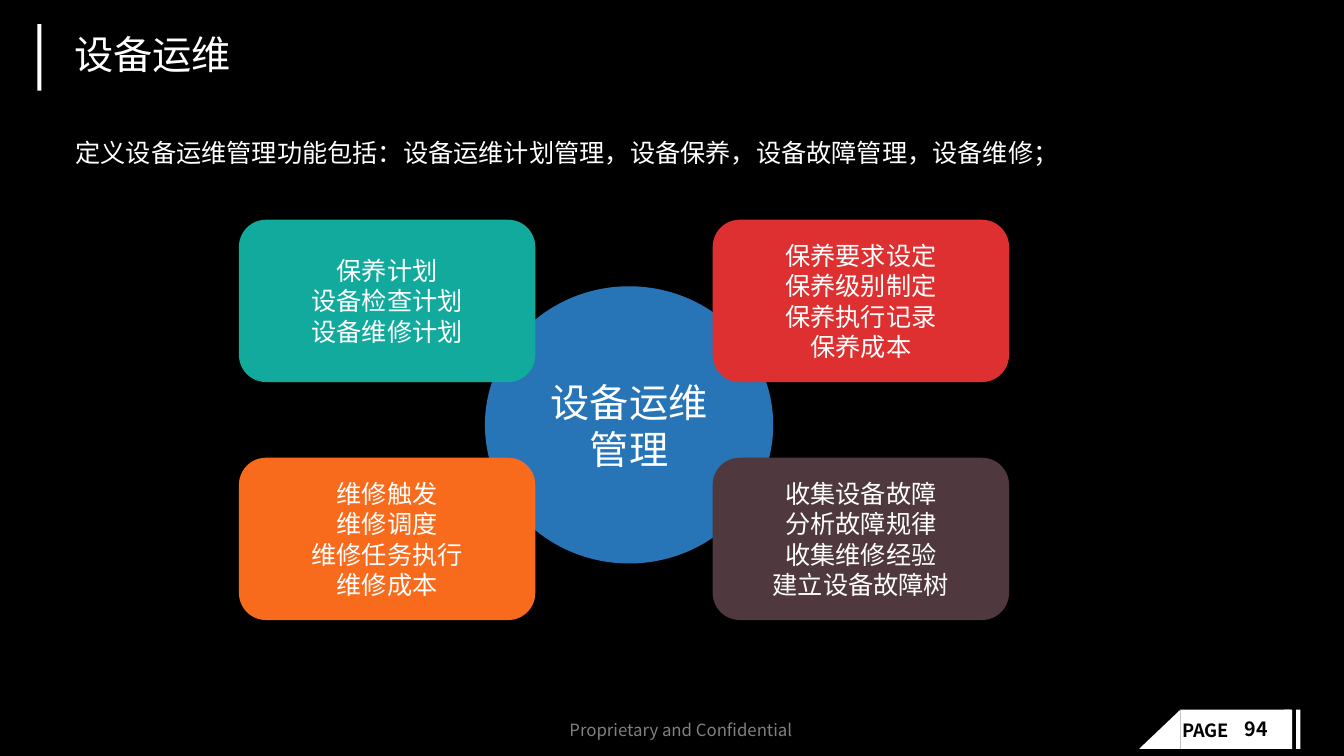
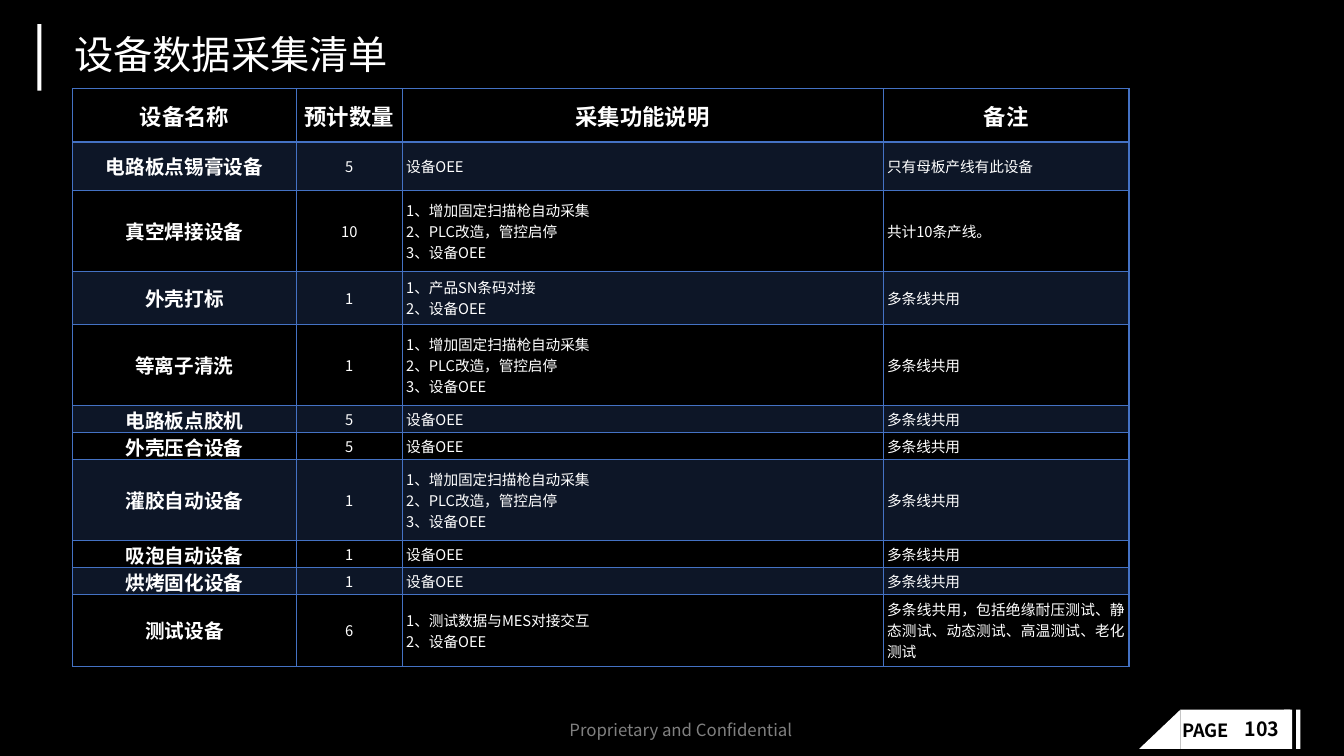
"""Build two slides on equipment operation, maintenance and data collection."""
from lxml.etree import SubElement as add_element
from pptx import Presentation
from pptx.dml.color import RGBColor
from pptx.enum.shapes import MSO_SHAPE as Shape
from pptx.enum.text import MSO_ANCHOR as Anchor, PP_ALIGN as Align
from pptx.oxml.ns import qn
from pptx.util import Inches, Pt

WIDTH, HEIGHT = Inches(13.33), Inches(7.5)
FONT = "Noto Sans CJK SC"
BLACK = RGBColor(0x00, 0x00, 0x00)
WHITE = RGBColor(0xFF, 0xFF, 0xFF)
GRAY = RGBColor(0x80, 0x80, 0x80)
BLUE = RGBColor(0x27, 0x75, 0xB6)
TEAL = RGBColor(0x12, 0xAA, 0x9C)
RED = RGBColor(0xDE, 0x30, 0x31)
ORANGE = RGBColor(0xF8, 0x6B, 0x1D)
BROWN = RGBColor(0x4F, 0x38, 0x3E)
GRID_BLUE = RGBColor(0x44, 0x72, 0xC4)

FOOTER_TOP, FOOTER_HEIGHT = 93.87, 5.2
FOOTER_TEXT_TOP, FOOTER_TEXT_HEIGHT = 94.53, 4.27
BADGE_BARS = [(87.83, 8.18), (95.55, 0.6), (96.45, 0.3)]

CARD_COLUMNS, CARD_ROWS = (17.78, 53.03), (29.07, 60.55)
CARD_WIDTH, CARD_HEIGHT = 22.05, 21.47
CARDS = [
    (0, 0, TEAL, ["保养计划", "设备检查计划", "设备维修计划"]),
    (0, 1, ORANGE, ["维修触发", "维修调度", "维修任务执行", "维修成本"]),
    (1, 1, BROWN, ["收集设备故障", "分析故障规律", "收集维修经验", "建立设备故障树"]),
    (1, 0, RED, ["保养要求设定", "保养级别制定", "保养执行记录", "保养成本"]),
]

OEE = ["设备OEE"]
SCAN_STEPS = ["1、增加固定扫描枪自动采集", "2、PLC改造，管控启停", "3、设备OEE"]
SHARED = "多条线共用"
COLUMN_WIDTHS = [16.65, 7.88, 35.78, 18.3]
HEADER_HEIGHT = 7.07
HEADER = ["设备名称", "预计数量", "采集功能说明", "备注"]
DEVICES = [
    (6.4, "电路板点锡膏设备", 5, OEE, "只有母板产线有此设备"),
    (10.67, "真空焊接设备", 10, SCAN_STEPS, "共计10条产线。"),
    (7.07, "外壳打标", 1, ["1、产品SN条码对接", "2、设备OEE"], SHARED),
    (10.67, "等离子清洗", 1, SCAN_STEPS, SHARED),
    (3.6, "电路板点胶机", 5, OEE, SHARED),
    (3.6, "外壳压合设备", 5, OEE, SHARED),
    (10.67, "灌胶自动设备", 1, SCAN_STEPS, SHARED),
    (3.6, "吸泡自动设备", 1, OEE, SHARED),
    (3.6, "烘烤固化设备", 1, OEE, SHARED),
    (9.47, "测试设备", 6, ["1、测试数据与MES对接交互", "2、设备OEE"],
     "多条线共用，包括绝缘耐压测试、静态测试、动态测试、高温测试、老化测试"),
]


def across(share):
    """Turn a percentage of the slide width into a length."""
    return round(WIDTH * share / 100)


def down(share):
    """Turn a percentage of the slide height into a length."""
    return round(HEIGHT * share / 100)


def place(left, top, width, height):
    """Turn four percentages into a position and size."""
    return across(left), down(top), across(width), down(height)


def apply(target, values):
    """Set each named attribute on the target."""
    for name, value in values.items():
        setattr(target, name, value)


def write(frame, lines, size, color=WHITE, bold=False, **para_format):
    """Fill a text frame with one paragraph per line."""
    for index, line in enumerate(lines):
        para = frame.add_paragraph() if index else frame.paragraphs[0]
        apply(para, para_format)
        span = para.add_run()
        span.text = line
        apply(span.font, {"name": FONT, "size": Pt(size), "bold": bold})
        span.font.color.rgb = color
        add_element(span.font._element, qn("a:ea"), typeface=FONT)


def add_text(page, area, text, size, wrap=True, anchor=Anchor.TOP, **style):
    """Add a one-line text box."""
    frame = page.shapes.add_textbox(*place(*area)).text_frame
    apply(frame, {"word_wrap": wrap, "vertical_anchor": anchor})
    write(frame, [text], size, **style)
    return frame


def add_block(page, kind, area, fill, lines=(), size=18):
    """Add a filled shape without outline, with optional centred text."""
    block = page.shapes.add_shape(kind, *place(*area))
    block.shadow.inherit = False
    block.fill.solid()
    block.fill.fore_color.rgb = fill
    block.line.fill.background()
    apply(block.text_frame, {"word_wrap": True, "vertical_anchor": Anchor.MIDDLE})
    write(block.text_frame, lines, size, alignment=Align.CENTER)
    return block


def add_footer(page, number):
    """Add the page badge and the confidentiality line."""
    for left, width in BADGE_BARS:
        add_block(page, Shape.RECTANGLE, (left, FOOTER_TOP, width, FOOTER_HEIGHT), WHITE)
    slant = add_block(page, Shape.RIGHT_TRIANGLE,
                      (84.75, FOOTER_TOP, 3.08, FOOTER_HEIGHT), WHITE)
    slant._element.spPr.xfrm.set("flipH", "1")
    labels = [
        (87.23, 5.48, "PAGE", 13, {"color": BLACK, "bold": True}),
        (91.88, 4.35, str(number), 14,
         {"color": BLACK, "bold": True, "line_spacing": 0.9}),
        (41.63, 19.2, "Proprietary and Confidential", 12, {"color": GRAY}),
    ]
    for left, width, text, size, style in labels:
        area = (left, FOOTER_TEXT_TOP, width, FOOTER_TEXT_HEIGHT)
        add_text(page, area, text, size, wrap=False, **style)


def add_page(deck, title, number):
    """Add a black slide with its title, accent bar and footer."""
    page = deck.slides.add_slide(deck.slide_layouts[6])
    page.background.fill.solid()
    page.background.fill.fore_color.rgb = BLACK
    add_footer(page, number)
    add_block(page, Shape.RECTANGLE, (2.78, 3.2, 0.3, 8.8), WHITE)
    frame = add_text(page, (4.8, 2.67, 92.4, 9.33), title, 28,
                     anchor=Anchor.MIDDLE, line_spacing=0.9)
    frame.margin_bottom = down(0.3)
    return page


def add_borders(cell, bottom):
    """Draw the four borders of a cell, with the given bottom width."""
    widths = {"lnL": 1, "lnR": 1, "lnT": 1, "lnB": bottom}
    for side, width in widths.items():
        line = add_element(cell._tc.get_or_add_tcPr(), qn(f"a:{side}"), w=str(Pt(width)))
        fill = add_element(line, qn("a:solidFill"))
        add_element(fill, qn("a:srgbClr"), val=str(GRID_BLUE))


def fill_cell(cell, lines, size, bold, alignment, banded, bottom=1):
    """Write and style one table cell."""
    apply(cell, {"margin_left": across(0.3), "margin_right": across(0.3),
                 "margin_top": 0, "margin_bottom": 0,
                 "vertical_anchor": Anchor.MIDDLE})
    write(cell.text_frame, lines, size, bold=bold, alignment=alignment)
    add_borders(cell, bottom)
    if banded:
        cell.fill.solid()
        cell.fill.fore_color.rgb = GRID_BLUE
        tint = cell._tc.tcPr.find(qn("a:solidFill")).find(qn("a:srgbClr"))
        add_element(tint, qn("a:alpha"), val="20000")
    else:
        cell.fill.background()


def add_device_table(page):
    """Add the table of devices and their data collection."""
    heights = [HEADER_HEIGHT] + [device[0] for device in DEVICES]
    area = (5.4, 11.73, sum(COLUMN_WIDTHS), sum(heights))
    table = page.shapes.add_table(len(heights), len(HEADER), *place(*area)).table
    apply(table, {"first_row": False, "horz_banding": False})
    for column, width in zip(table.columns, COLUMN_WIDTHS):
        column.width = across(width)
    for row, height in zip(table.rows, heights):
        row.height = down(height)
    for column, heading in enumerate(HEADER):
        fill_cell(table.cell(0, column), [heading], 16, True, Align.CENTER, False, bottom=2)
    styles = [(14, True, Align.CENTER), (10.5, False, Align.CENTER),
              (10.5, False, Align.LEFT), (10.5, False, Align.JUSTIFY)]
    for row, (_, name, count, functions, remark) in enumerate(DEVICES, 1):
        contents = [[name], [str(count)], functions, [remark]]
        for column, (lines, style) in enumerate(zip(contents, styles)):
            fill_cell(table.cell(row, column), lines, *style, banded=row % 2 == 1)


def add_maintenance_page(deck):
    """Add the slide with four cards around a central circle."""
    page = add_page(deck, "设备运维", 94)
    add_text(page, (4.88, 17.47, 82.88, 5.33),
             "定义设备运维管理功能包括：设备运维计划管理，设备保养，设备故障管理，设备维修；", 18)
    add_block(page, Shape.OVAL, (36.08, 37.87, 21.45, 36.67), BLUE, ["设备运维管理"], 28)
    for column, row, color, lines in CARDS:
        area = (CARD_COLUMNS[column], CARD_ROWS[row], CARD_WIDTH, CARD_HEIGHT)
        add_block(page, Shape.ROUNDED_RECTANGLE, area, color, lines)


def main():
    """Build and save the deck."""
    deck = Presentation()
    apply(deck, {"slide_width": WIDTH, "slide_height": HEIGHT})
    add_maintenance_page(deck)
    add_device_table(add_page(deck, "设备数据采集清单", 103))
    deck.save("out.pptx")


if __name__ == "__main__":
    main()
